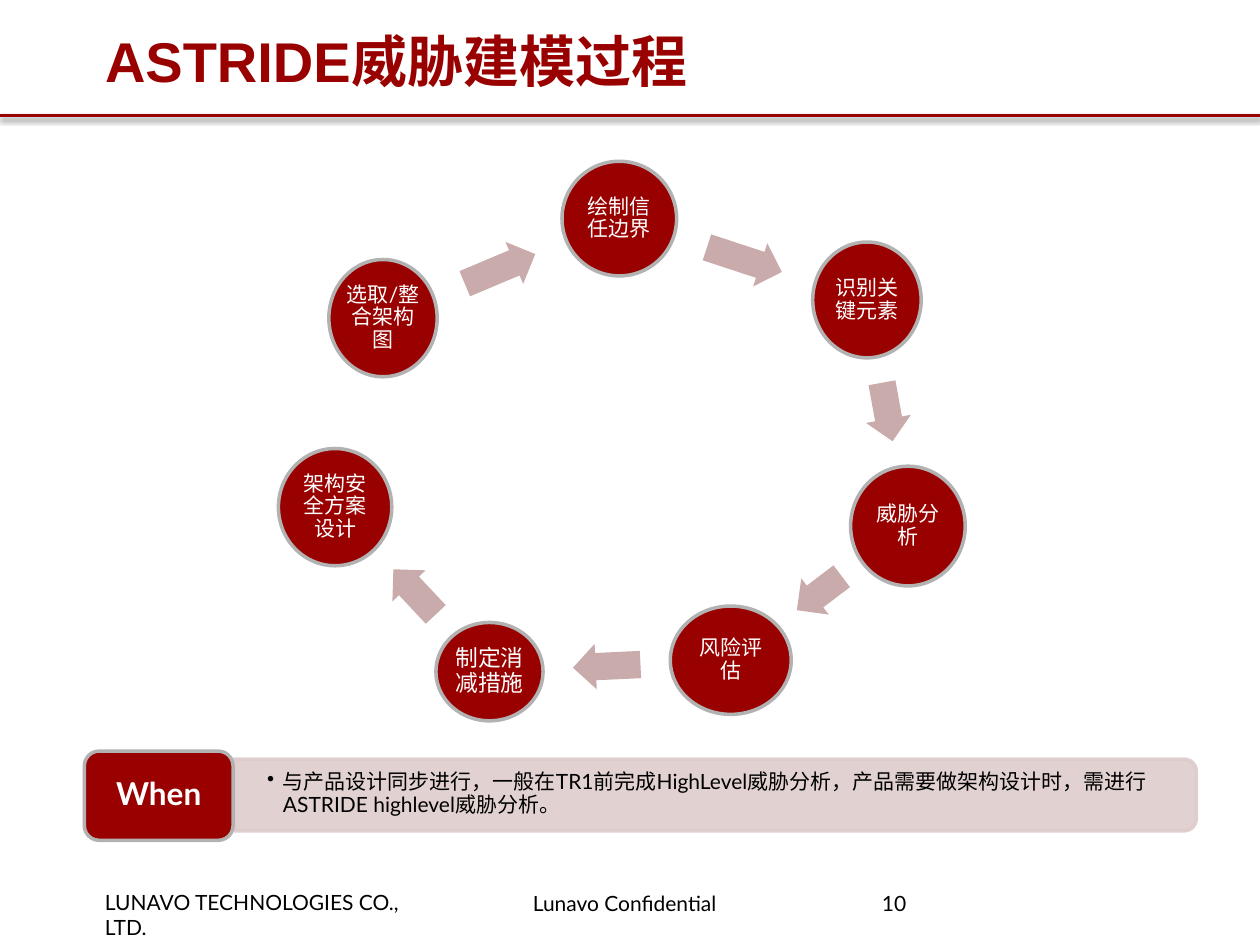
from math import atan2, cos, degrees, hypot, sin

from lxml.etree import SubElement
from pptx import Presentation
from pptx.dml.color import RGBColor
from pptx.enum.shapes import MSO_CONNECTOR, MSO_SHAPE
from pptx.enum.text import MSO_ANCHOR, PP_ALIGN
from pptx.oxml.ns import qn
from pptx.util import Pt


def color(hex_code):
    return RGBColor.from_string(hex_code)


def add(parent, tag, **attrs):
    return SubElement(parent, qn(tag), {k: str(v) for k, v in attrs.items()})


def set_alpha(fill_parent, percent):
    clr = fill_parent.find(qn("a:solidFill")).find(qn("a:srgbClr"))
    add(clr, "a:alpha", val=percent * 1000)


def write(tf, text, size=12, font="Lato", ink="000000", bold=False, align=None,
          anchor=MSO_ANCHOR.TOP, insets=(0, 0, 0, 0), spacing=None, bullet=None):
    tf.word_wrap = True
    tf.vertical_anchor = anchor
    tf.margin_left, tf.margin_top, tf.margin_right, tf.margin_bottom = map(Pt, insets)
    p = tf.paragraphs[0]
    p.alignment = align
    p.line_spacing = spacing
    if bullet:
        pPr = p._p.get_or_add_pPr()
        pPr.set("marL", str(Pt(9)))
        pPr.set("indent", str(-Pt(9)))
        add(pPr, "a:buChar", char=bullet)
    r = p.add_run()
    r.text = text
    r.font.size, r.font.name, r.font.bold = Pt(size), font, bold
    r.font.color.rgb = color(ink)


class Deck:
    RED, GREY, ARROW, BAND = "990000", "B2B2B2", "CAABAB", "DECCCC"

    def __init__(self, s):
        self.s = s

    def title(self, text, x, y, w, h):
        sp = self.s.shapes.title
        sp.left, sp.top, sp.width, sp.height = map(Pt, (x, y, w, h))
        write(sp.text_frame, text, size=32, font="Arial", ink=self.RED, bold=True,
              align=PP_ALIGN.LEFT, anchor=MSO_ANCHOR.MIDDLE, insets=(0, 3, 6.5, 3))

    def rule(self, x1, x2, y):
        c = self.s.shapes.add_connector(MSO_CONNECTOR.STRAIGHT, Pt(x1), Pt(y), Pt(x2), Pt(y))
        c.line.color.rgb, c.line.width = color(self.RED), Pt(2)
        effects = add(c._element.spPr, "a:effectLst")
        shadow = add(effects, "a:outerShdw", blurRad=Pt(3.1), dist=Pt(1.6),
                     dir=90 * 60000, rotWithShape=0)
        add(add(shadow, "a:srgbClr", val="000000"), "a:alpha", val=38000)

    def text(self, text, x, y, w, h, **fmt):
        sp = self.s.shapes.add_textbox(Pt(x), Pt(y), Pt(w), Pt(h))
        write(sp.text_frame, text, **fmt)

    def shape(self, kind, cx, cy, w, h, fill, line=None, rotation=0):
        sp = self.s.shapes.add_shape(kind, Pt(cx - w / 2), Pt(cy - h / 2), Pt(w), Pt(h))
        sp.rotation = rotation
        sp.shadow.inherit = False
        sp.fill.solid()
        sp.fill.fore_color.rgb = color(fill)
        if line:
            sp.line.color.rgb, sp.line.width = color(line), Pt(2)
        else:
            sp.line.fill.background()
        return sp

    def label(self, kind, text, cx, cy, w, h, **fmt):
        sp = self.shape(kind, cx, cy, w, h, self.RED, self.GREY)
        write(sp.text_frame, text, ink="FFFFFF", align=PP_ALIGN.CENTER,
              anchor=MSO_ANCHOR.MIDDLE, spacing=0.9, **fmt)

    def step(self, text, cx, cy, w, h, size):
        self.label(MSO_SHAPE.OVAL, text, cx, cy, w, h, size=size, insets=(1.2,) * 4)

    def arrow(self, start, end):
        """Centre an arrow in the gap between two ellipses."""
        (x1, y1, w1, h1), (x2, y2, w2, h2) = start, end
        angle = atan2(y2 - y1, x2 - x1)
        r1, r2 = (1 / hypot(2 * cos(angle) / w, 2 * sin(angle) / h)
                  for w, h in ((w1, h1), (w2, h2)))
        distance = hypot(x2 - x1, y2 - y1)
        middle = (distance + r1 - r2) / 2
        sp = self.shape(MSO_SHAPE.RIGHT_ARROW, x1 + middle * cos(angle),
                        y1 + middle * sin(angle), 0.53 * (distance - r1 - r2), 26,
                        self.ARROW, rotation=degrees(angle) % 360)
        sp.adjustments[0], sp.adjustments[1] = 0.6, 0.5

    def band(self, cx, cy, w, h):
        sp = self.shape(MSO_SHAPE.ROUND_2_SAME_RECTANGLE, cx, cy, h, w,
                        self.BAND, self.BAND, rotation=90)
        spPr = sp._element.spPr
        set_alpha(spPr, 90)
        set_alpha(spPr.find(qn("a:ln")), 90)


# Steps in cycle order: text, centre x, centre y, width, height, text size
STEPS = [
    ("选取/整合架构图", 218.9, 181.8, 61.9, 67, 12),
    ("绘制信任边界", 353.9, 124.9, 65.5, 65.5, 12),
    ("识别关键元素", 495.4, 171.4, 62, 66.2, 12),
    ("威胁分析", 518.8, 300.6, 65.5, 68.4, 12),
    ("风险评估", 417.6, 377.3, 69.1, 61.9, 12),
    ("制定消减措施", 279.7, 383.8, 61.2, 56.2, 13),
    ("架构安全方案设计", 191.5, 289.8, 64.8, 67, 12),
]


def main():
    prs = Presentation()
    prs.slide_width, prs.slide_height = Pt(720), Pt(540)
    deck = Deck(prs.slides.add_slide(prs.slide_layouts[5]))

    # Header
    deck.title("ASTRIDE威胁建模过程", 60, 0, 601, 68.4)
    deck.rule(0, 720, 66)

    # Cycle of steps
    for step in STEPS:
        deck.step(*step)
    for start, end in zip(STEPS, STEPS[1:]):
        deck.arrow(start[1:5], end[1:5])

    # Timing note
    deck.band(408.6, 454.3, 550, 41)
    deck.text("与产品设计同步进行，一般在TR1前完成HighLevel威胁分析，产品需要做架构设计时，"
              "需进行ASTRIDE highlevel威胁分析。", 133.2, 435.6, 548, 36.7,
              anchor=MSO_ANCHOR.MIDDLE, insets=(19.5, 10, 19.5, 10), spacing=0.9, bullet="•")
    deck.label(MSO_SHAPE.ROUNDED_RECTANGLE, "When", 90.7, 454.7, 85, 51,
               size=18, bold=True, insets=(5, 2.5, 5, 2.5))

    # Footer
    deck.text("LUNAVO TECHNOLOGIES CO., LTD.", 60, 508.3, 185, 14.4)
    deck.text("Lunavo Confidential", 298, 509, 120, 14.4, insets=(6.5, 0, 6.5, 0))
    deck.text("10", 504, 511.2, 139, 28.8, spacing=0.85)

    prs.save("out.pptx")


if __name__ == "__main__":
    main()
